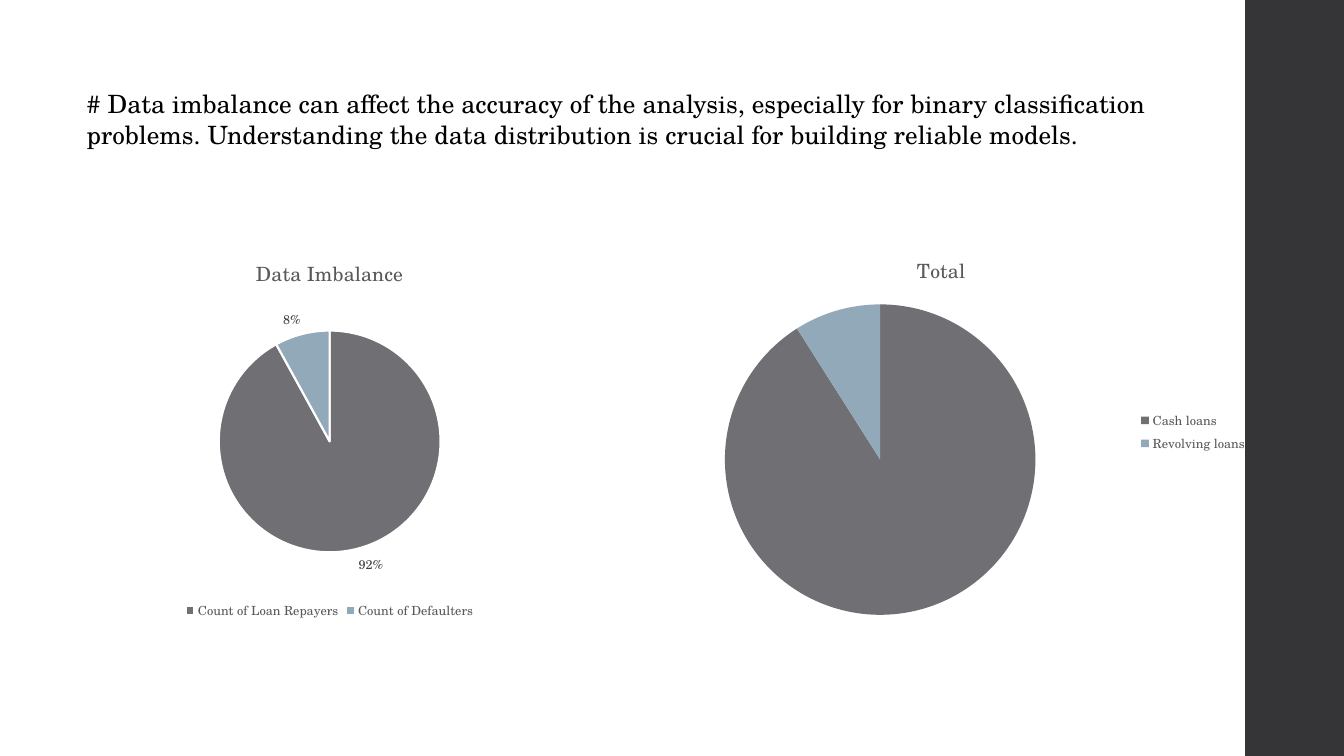
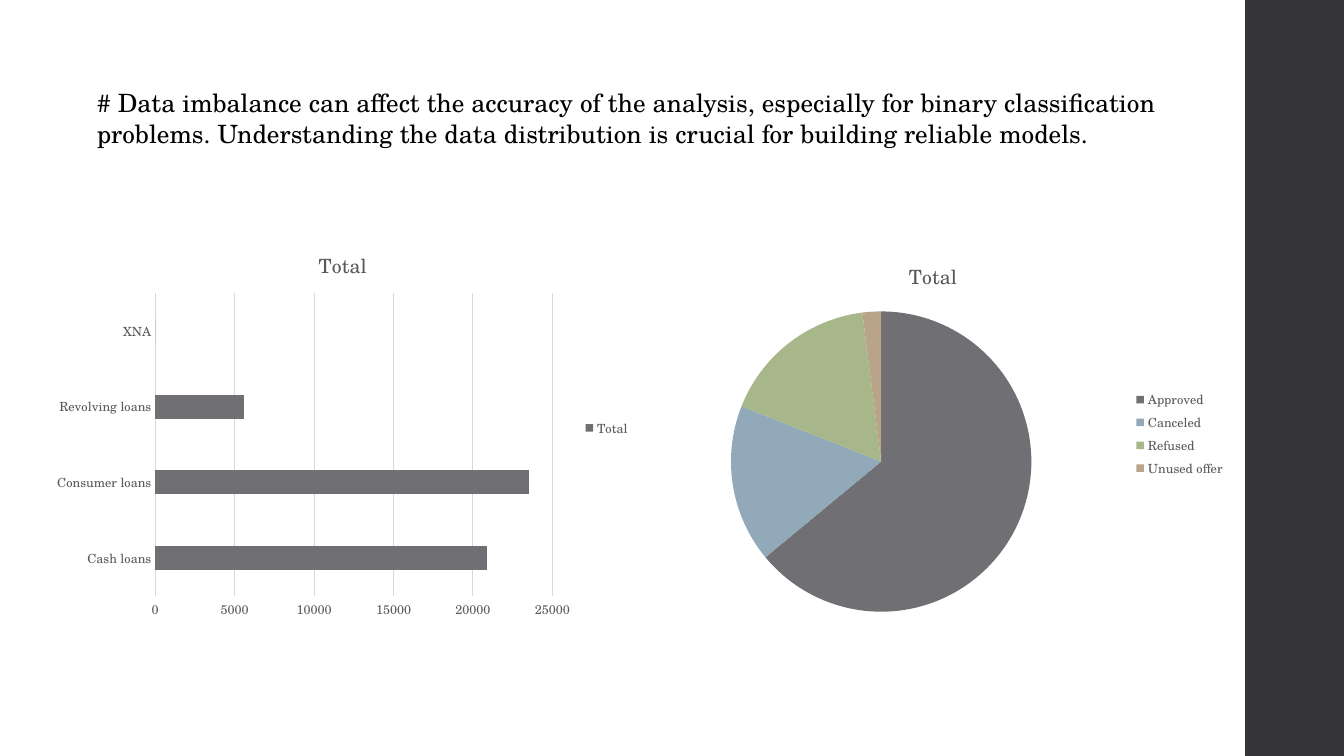
from dataclasses import dataclass

import pptx
from lxml import etree
from pptx import util as u
from pptx.chart import data as cd
from pptx.dml import color
from pptx.enum import chart as ec, shapes, text
from pptx.oxml import ns

PX = 9144  # EMU per px, 100 px to the inch
FONT = "TeX Gyre Schola"
COLORS = {
    "band": "353537", "white": "FFFFFF", "black": "000000", "muted": "595959",
    "label": "404040", "grid": "D9D9D9",
}
SERIES_COLORS = ["6F6F74", "92A9B9", "A7B789", "B9A489"]
HEADING = (
    "# Data imbalance can affect the accuracy of the analysis, especially for "
    "binary classification problems. Understanding the data distribution is "
    "crucial for building reliable models."
)


@dataclass(frozen=True)
class Box:
    x: int
    y: int
    w: int
    h: int

    def emu(self) -> list[u.Emu]:
        return [u.Emu(v * PX) for v in (self.x, self.y, self.w, self.h)]


@dataclass(frozen=True)
class ChartItem:
    title: str
    frame: Box
    plot: Box
    values: dict[str, int]
    series: str = "Total"
    kind: ec.XL_CHART_TYPE = ec.XL_CHART_TYPE.PIE
    legend: ec.XL_LEGEND_POSITION = ec.XL_LEGEND_POSITION.RIGHT
    percents: bool = False


@dataclass(frozen=True)
class Page:
    heading: Box
    charts: list[ChartItem]


PAGES = [
    Page(Box(76, 83, 1087, 71), [
        ChartItem("Data Imbalance", Box(0, 238, 654, 381), Box(217, 328, 220, 220),
                  {"Count of Loan Repayers": 92, "Count of Defaulters": 8},
                  series="Series 1", legend=ec.XL_LEGEND_POSITION.BOTTOM, percents=True),
        ChartItem("Total", Box(620, 234, 627, 389), Box(719, 302, 308, 308),
                  {"Cash loans": 91, "Revolving loans": 9}),
    ]),
    Page(Box(86, 82, 1084, 71), [
        ChartItem("Total", Box(45, 229, 590, 391), Box(154, 291, 394, 300),
                  {"Cash loans": 20900, "Consumer loans": 23500,
                   "Revolving loans": 5600, "XNA": 0},
                  kind=ec.XL_CHART_TYPE.BAR_CLUSTERED),
        ChartItem("Total", Box(626, 241, 599, 379), Box(725, 309, 298, 298),
                  {"Approved": 64, "Canceled": 17, "Refused": 17, "Unused offer": 2}),
    ]),
]


def rgb(value: str) -> color.RGBColor:
    return color.RGBColor.from_string(value)


def paint(fill, value: str) -> None:
    fill.solid()
    fill.fore_color.rgb = rgb(value)


def set_font(font, size: int, name: str) -> None:
    font.name, font.size, font.bold = FONT, u.Pt(size), False
    font.color.rgb = rgb(COLORS[name])


def set_line(line, name: str, width: float) -> None:
    line.color.rgb = rgb(COLORS[name])
    line.width = u.Pt(width)


def add_master_band(prs, s) -> None:
    """Draw the side band and hand it to the master, so that every slide shows it."""
    sp = s.shapes.add_shape(shapes.MSO_SHAPE.RECTANGLE, *Box(1235, 0, 100, 750).emu())
    sp.shadow.inherit = False
    paint(sp.fill, COLORS["band"])
    sp.line.fill.background()
    prs.slide_master.shapes.element.append(sp.element)


def set_heading(s, box: Box) -> None:
    sp = s.shapes.title
    sp.left, sp.top, sp.width, sp.height = box.emu()
    tf = sp.text_frame
    tf.word_wrap = True
    tf.auto_size = text.MSO_AUTO_SIZE.SHAPE_TO_FIT_TEXT
    tf.vertical_anchor = text.MSO_ANCHOR.TOP
    p = tf.paragraphs[0]
    p.alignment = text.PP_ALIGN.LEFT
    r = p.add_run()
    r.text = HEADING
    set_font(r.font, 18, "black")


def place_plot(chart, frame: Box, plot: Box) -> None:
    """Fix the inner plot area, as fractions of the chart frame."""
    area = chart.element.find(".//" + ns.qn("c:plotArea"))
    for old in area.findall(ns.qn("c:layout")):
        area.remove(old)
    layout = etree.Element(ns.qn("c:layout"))
    manual = etree.SubElement(layout, ns.qn("c:manualLayout"))
    settings = {
        "layoutTarget": "inner", "xMode": "edge", "yMode": "edge",
        "x": (plot.x - frame.x) / frame.w, "y": (plot.y - frame.y) / frame.h,
        "w": plot.w / frame.w, "h": plot.h / frame.h,
    }
    for tag, value in settings.items():
        etree.SubElement(manual, ns.qn(f"c:{tag}")).set("val", str(value))
    area.insert(0, layout)


def format_pie(chart, item: ChartItem) -> None:
    plot = chart.plots[0]
    for i, value in enumerate(SERIES_COLORS[:len(item.values)]):
        fmt = plot.series[0].points[i].format
        paint(fmt.fill, value)
        if item.percents:
            set_line(fmt.line, "white", 1.5)
        else:
            fmt.line.fill.background()
    if item.percents:
        plot.has_data_labels = True
        labels = plot.data_labels
        labels.show_percentage, labels.show_value = True, False
        labels.number_format, labels.number_format_is_linked = "0%", False
        labels.position = ec.XL_LABEL_POSITION.OUTSIDE_END
        set_font(labels.font, 9, "label")


def format_bars(chart) -> None:
    plot = chart.plots[0]
    plot.vary_by_categories = False
    plot.gap_width = 219
    paint(plot.series[0].format.fill, SERIES_COLORS[0])
    cats, vals = chart.category_axis, chart.value_axis
    for axis in (cats, vals):
        axis.major_tick_mark = axis.minor_tick_mark = ec.XL_TICK_MARK.NONE
        set_font(axis.tick_labels.font, 9, "muted")
    set_line(cats.format.line, "grid", 0.75)
    vals.format.line.fill.background()
    vals.minimum_scale, vals.maximum_scale, vals.major_unit = 0, 25000, 5000
    vals.has_major_gridlines = True
    set_line(vals.major_gridlines.format.line, "grid", 0.75)


def add_chart(s, item: ChartItem) -> None:
    data = cd.CategoryChartData(number_format="General")
    data.categories = list(item.values)
    data.add_series(item.series, list(item.values.values()))
    chart = s.shapes.add_chart(item.kind, *item.frame.emu(), data).chart
    set_font(chart.font, 10, "black")
    chart.has_title = True
    r = chart.chart_title.text_frame.paragraphs[0].add_run()
    r.text = item.title
    set_font(r.font, 14, "muted")
    chart.chart_title.include_in_layout = False
    chart.has_legend = True
    chart.legend.position = item.legend
    chart.legend.include_in_layout = False
    set_font(chart.legend.font, 9, "muted")
    place_plot(chart, item.frame, item.plot)
    if item.kind == ec.XL_CHART_TYPE.PIE:
        format_pie(chart, item)
    else:
        format_bars(chart)


def main() -> None:
    prs = pptx.Presentation()
    prs.slide_width, prs.slide_height = u.Emu(1333 * PX), u.Emu(750 * PX)
    paint(prs.slide_master.background.fill, COLORS["white"])
    title_only = prs.slide_layouts[5]
    for i, page in enumerate(PAGES):
        s = prs.slides.add_slide(title_only)
        if i == 0:
            add_master_band(prs, s)
        set_heading(s, page.heading)
        for item in page.charts:
            add_chart(s, item)
    prs.save("out.pptx")


if __name__ == "__main__":
    main()
